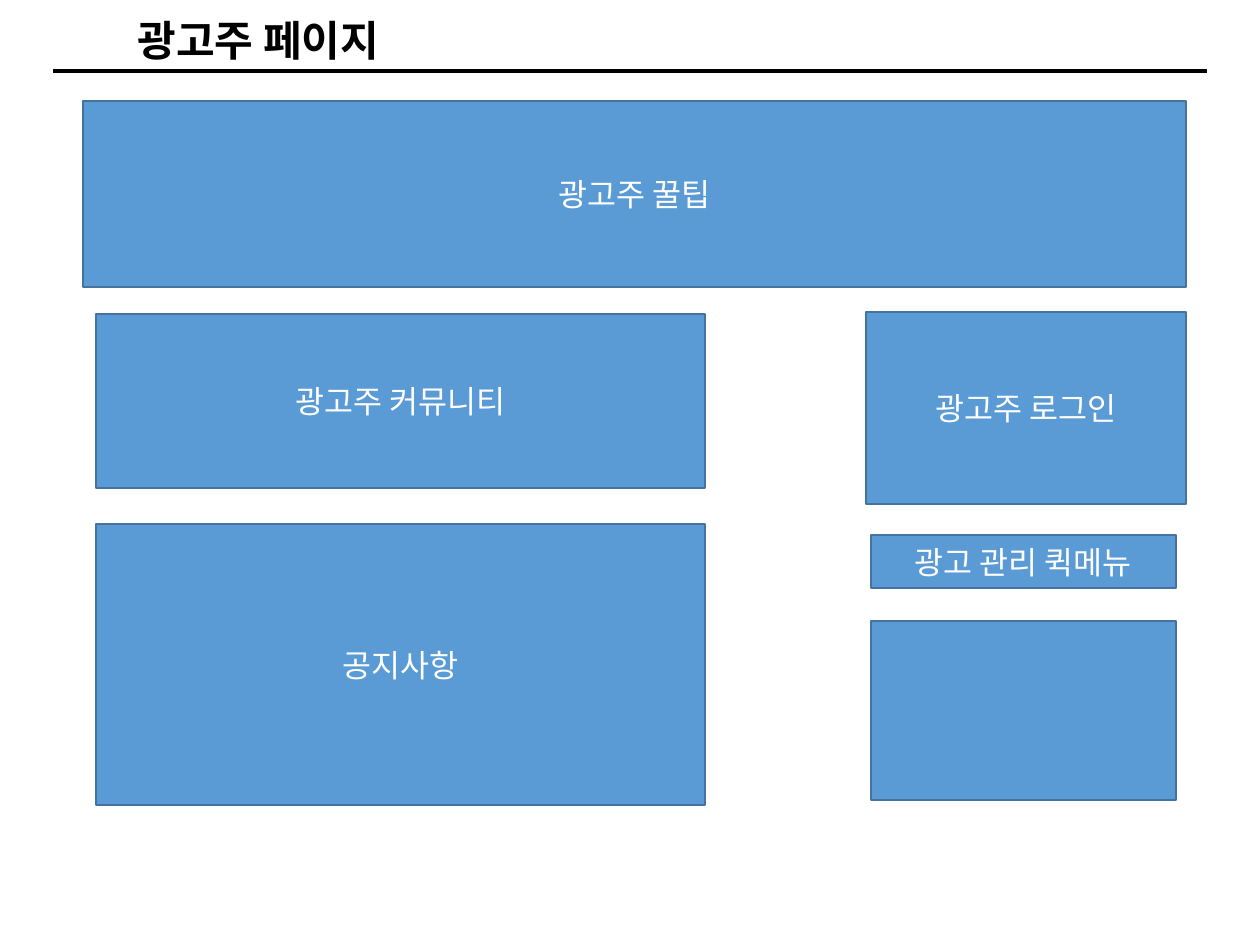
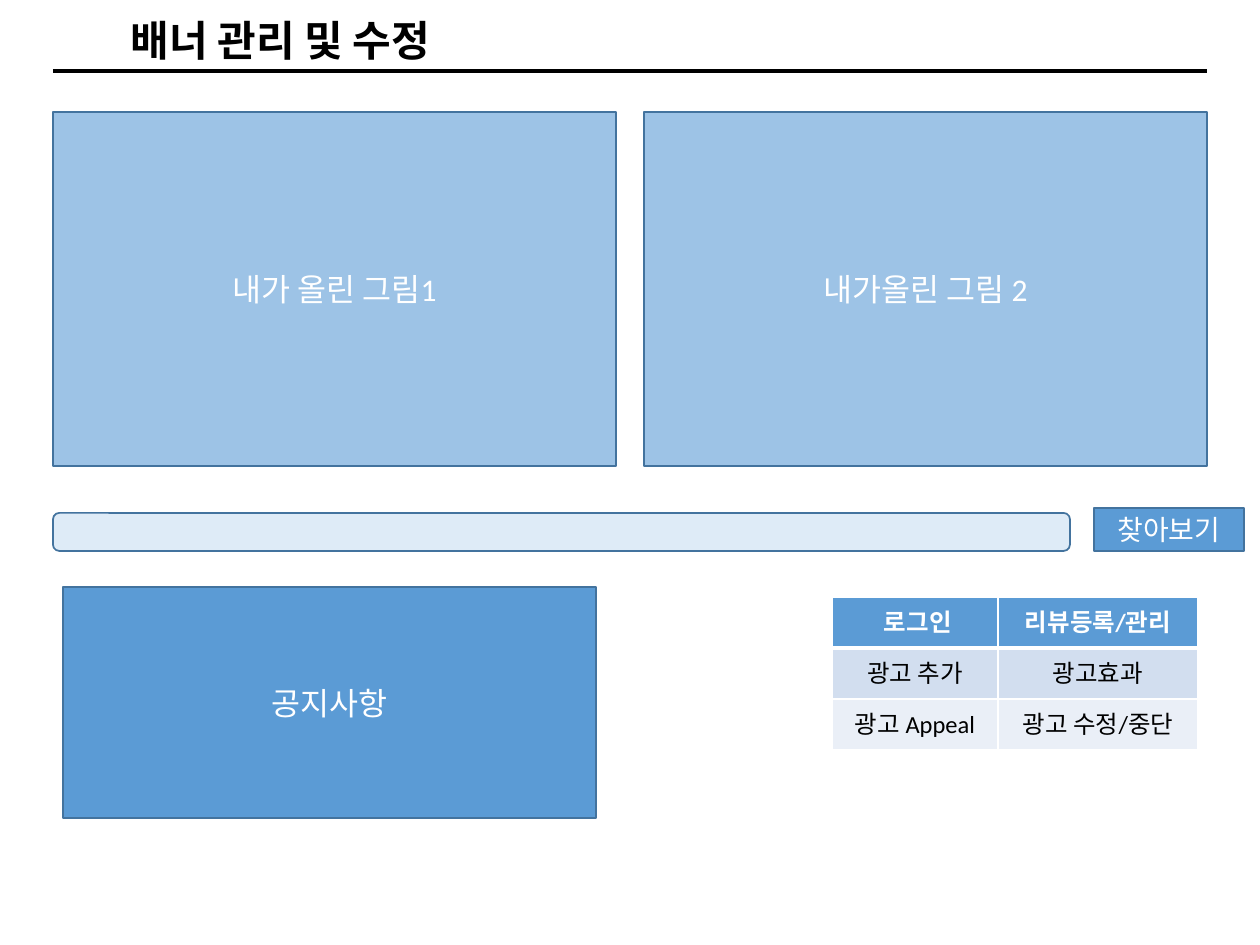
"""Builds two wireframe slides: the advertiser page and the banner editor."""
from lxml import etree
from pptx import Presentation
from pptx.dml.color import RGBColor
from pptx.enum.shapes import MSO_CONNECTOR, MSO_SHAPE
from pptx.enum.text import MSO_ANCHOR, MSO_AUTO_SIZE, PP_ALIGN
from pptx.oxml.ns import qn
from pptx.util import Emu, Pt

RECTANGLE, ROUNDED = MSO_SHAPE.RECTANGLE, MSO_SHAPE.ROUNDED_RECTANGLE
STRAIGHT = MSO_CONNECTOR.STRAIGHT
TOP, MIDDLE = MSO_ANCHOR.TOP, MSO_ANCHOR.MIDDLE
LEFT, CENTER = PP_ALIGN.LEFT, PP_ALIGN.CENTER
GROW = MSO_AUTO_SIZE.SHAPE_TO_FIT_TEXT

PX_PER_INCH = 126
SLIDE_WIDTH, SLIDE_HEIGHT = 1260, 945
MARGIN, RULE_Y = 53, 71
TITLE_ONLY = 5

FONT = "Calibri"
BLACK, WHITE = "000000", "FFFFFF"
BLUE, LIGHT_BLUE, PALE_BLUE, OUTLINE = "5B9BD5", "9DC3E6", "DEEBF7", "43739E"
ROW_FILLS = (BLUE, "D2DEEF", "EAEFF7")

ADVERTISER_TITLE = ("광고주 페이지", 125, 290)
TIPS = ("광고주 꿀팁", 83, 101, 1103, 186)
LOGIN = ("광고주 로그인", 866, 312, 320, 192)
COLUMNS = [
    (96, 609, [("광고주 커뮤니티", 314, 174), ("공지사항", 524, 281)]),
    (871, 305, [("광고 관리 퀵메뉴", 535, 53), ("", 621, 179)]),
]

BANNER_TITLE = ("배너 관리 및 수정", 118, 350)
PREVIEWS = ["내가 올린 그림1", "내가올린 그림 2"]
PREVIEW_TOP, PREVIEW_HEIGHT, PREVIEW_GAP = 112, 354, 28
FILE_FIELD = ("", MARGIN, 513, 1017, 38)
BROWSE = ("찾아보기", 1094, 508, 150, 43)
NOTICE = ("공지사항", 63, 587, 533, 231)
MENU = [
    (" 로그인", "리뷰등록/관리"),
    ("광고 추가", "광고효과"),
    ("광고 Appeal", "광고 수정/중단"),
]
MENU_LEFT, MENU_TOP, MENU_ROW = 832, 597, 51
MENU_COLUMNS = (166, 200)


def px(length):
    """Turn pixels into EMU."""
    return Emu(round(length * 914400 / PX_PER_INCH))


def color(hex_value):
    """Turn a hex string into a colour."""
    return RGBColor.from_string(hex_value)


def assign(target, values):
    """Set every attribute named in a dict."""
    for name, value in values.items():
        setattr(target, name, value)


def write(frame, text, size, hex_value, bold=False, align=CENTER):
    """Put one formatted paragraph in a text frame."""
    paragraph = frame.paragraphs[0]
    paragraph.alignment = align
    run = paragraph.add_run()
    run.text = text
    assign(run.font, {"name": FONT, "size": Pt(size), "bold": bold})
    run.font.color.rgb = color(hex_value)


def add_page(presentation, text, left, width):
    """Add a slide with its title and the rule below it."""
    slide = presentation.slides.add_slide(presentation.slide_layouts[TITLE_ONLY])
    title = slide.shapes.title
    assign(title, {"left": px(left), "top": px(8), "width": px(width), "height": px(63)})
    assign(title.text_frame, {"word_wrap": False, "auto_size": GROW, "vertical_anchor": TOP})
    write(title.text_frame, text, 24, BLACK, True, LEFT)
    rule = slide.shapes.add_connector(
        STRAIGHT, px(MARGIN), px(RULE_Y), px(SLIDE_WIDTH - MARGIN), px(RULE_Y))
    rule.line.width = Pt(2.25)
    rule.line.color.rgb = color(BLACK)
    etree.SubElement(rule._element.spPr, qn("a:effectLst"))
    return slide


def add_box(slide, text, left, top, width, height, fill=BLUE, size=18, kind=RECTANGLE):
    """Add an outlined box with a centred label."""
    box = slide.shapes.add_shape(kind, px(left), px(top), px(width), px(height))
    box.shadow.inherit = False
    box.fill.solid()
    box.fill.fore_color.rgb = color(fill)
    box.line.color.rgb = color(OUTLINE)
    box.line.width = Pt(1)
    assign(box.text_frame, {"word_wrap": True, "vertical_anchor": MIDDLE})
    if text:
        write(box.text_frame, text, size, WHITE)


def add_borders(cell, bottom):
    """Draw white cell borders with the given bottom width in points."""
    properties = cell._tc.get_or_add_tcPr()
    for index, (side, width) in enumerate(zip("LRTB", (1, 1, 1, bottom))):
        line = etree.Element(qn(f"a:ln{side}"), w=str(Pt(width)))
        fill = etree.SubElement(line, qn("a:solidFill"))
        etree.SubElement(fill, qn("a:srgbClr"), val=WHITE)
        properties.insert(index, line)


def add_menu(slide):
    """Add the quick menu table."""
    table = slide.shapes.add_table(
        len(MENU), len(MENU_COLUMNS), px(MENU_LEFT), px(MENU_TOP),
        px(sum(MENU_COLUMNS)), px(MENU_ROW * len(MENU))).table
    for column, width in zip(table.columns, MENU_COLUMNS):
        column.width = px(width)
    for row_index, (labels, fill) in enumerate(zip(MENU, ROW_FILLS)):
        header = row_index == 0
        for column_index, label in enumerate(labels):
            cell = table.cell(row_index, column_index)
            cell.fill.solid()
            cell.fill.fore_color.rgb = color(fill)
            add_borders(cell, 3 if header else 1)
            write(cell.text_frame, label, 14, WHITE if header else BLACK, header)


def build_advertiser_page(presentation):
    """Build the advertiser page."""
    slide = add_page(presentation, *ADVERTISER_TITLE)
    add_box(slide, *TIPS)
    add_box(slide, *LOGIN)
    for left, width, boxes in COLUMNS:
        for text, top, height in boxes:
            add_box(slide, text, left, top, width, height)


def build_banner_page(presentation):
    """Build the banner editor page."""
    slide = add_page(presentation, *BANNER_TITLE)
    width = (SLIDE_WIDTH - 2 * MARGIN - PREVIEW_GAP) // len(PREVIEWS)
    for index, text in enumerate(PREVIEWS):
        left = MARGIN + index * (width + PREVIEW_GAP)
        add_box(slide, text, left, PREVIEW_TOP, width, PREVIEW_HEIGHT, LIGHT_BLUE)
    add_box(slide, *FILE_FIELD, fill=PALE_BLUE, kind=ROUNDED)
    add_box(slide, *BROWSE, size=16)
    add_menu(slide)
    add_box(slide, *NOTICE)


def main():
    """Build and save the presentation."""
    presentation = Presentation()
    assign(presentation, {"slide_width": px(SLIDE_WIDTH), "slide_height": px(SLIDE_HEIGHT)})
    build_advertiser_page(presentation)
    build_banner_page(presentation)
    presentation.save("out.pptx")


if __name__ == "__main__":
    main()
